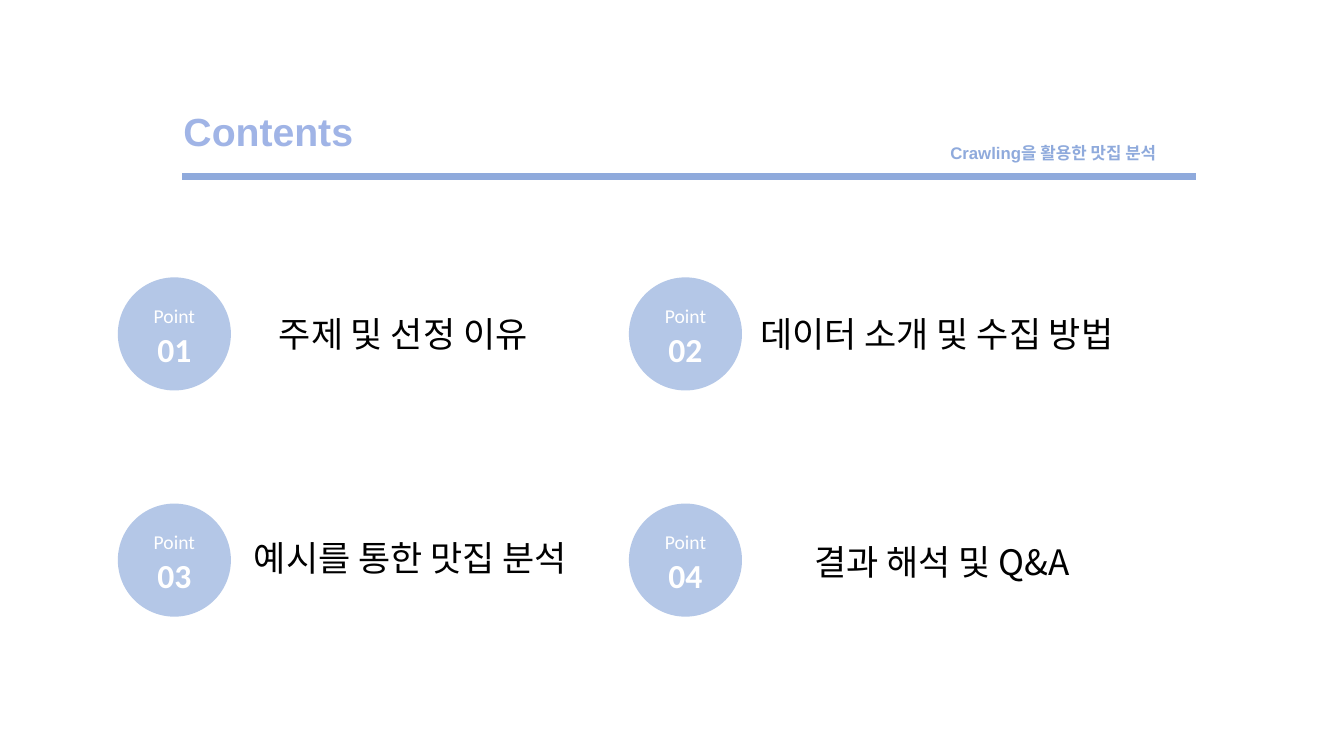
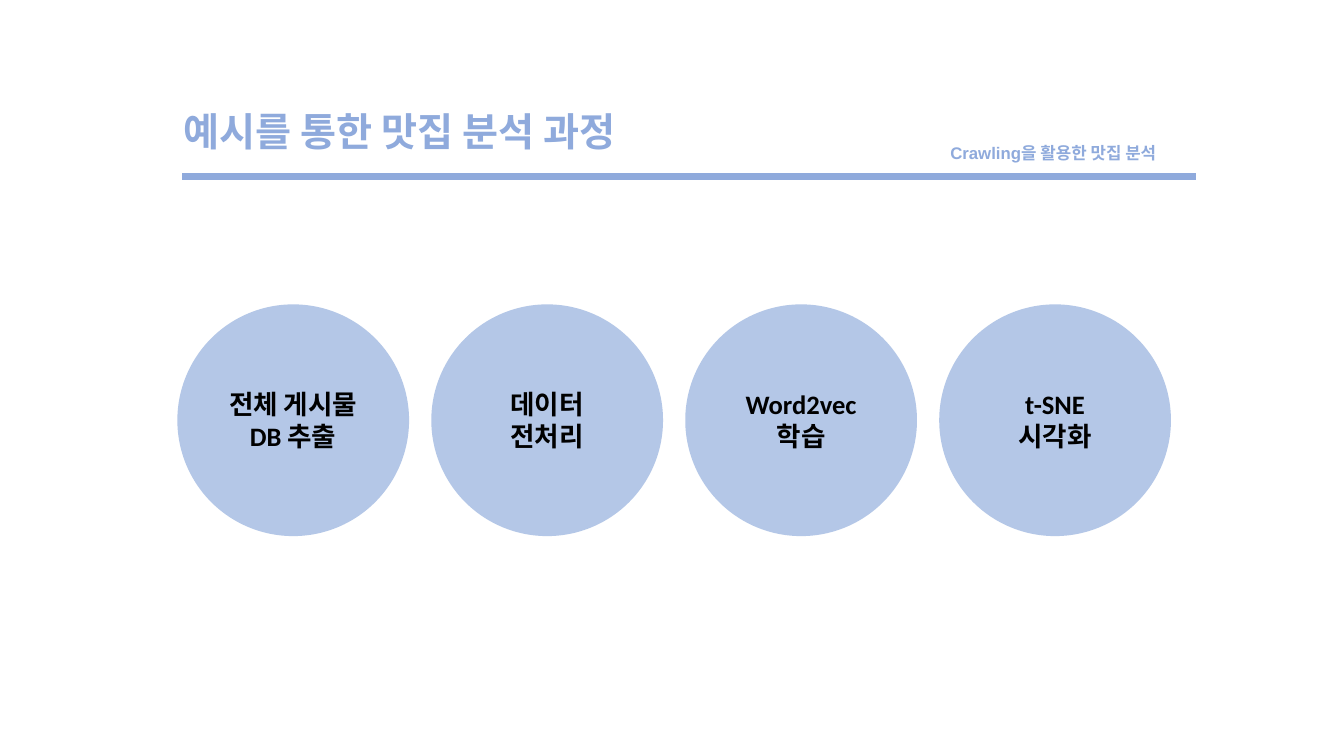
from lxml import etree
from pptx import Presentation
from pptx import util as u
from pptx.dml.color import RGBColor
from pptx.enum import shapes, text
from pptx.oxml import ns

Cm, Pt = u.Cm, u.Pt

COLORS = {
    "accent": "8FAADC",
    "contents": "A0B4E6",
    "circle": "B4C7E7",
    "light": "FFFFFF",
    "dark": "000000",
}
KOREAN = "Noto Sans CJK KR"


class Deck:
    def __init__(self):
        self.prs = Presentation()
        self.prs.slide_width = Cm(33.87)
        self.prs.slide_height = Cm(19.05)
        self.s = None

    def color(self, name):
        return RGBColor.from_string(COLORS[name])

    def run(self, p, words, size, color, font="Calibri", bold=False):
        r = p.add_run()
        r.text = words
        r.font.size = Pt(size)
        r.font.bold = bold
        r.font.name = font
        r.font.color.rgb = self.color(color)
        ea = etree.Element(ns.qn("a:ea"), typeface=KOREAN)
        r.font._element.find(ns.qn("a:latin")).addnext(ea)

    def slide(self, title, color="accent", font="Calibri"):
        self.s = self.prs.slides.add_slide(self.prs.slide_layouts[5])
        sp = self.s.shapes.title
        sp.left, sp.top, sp.width, sp.height = Cm(4.37), Cm(2.49), Cm(13), Cm(1.75)
        tf = sp.text_frame
        tf.auto_size = text.MSO_AUTO_SIZE.NONE
        tf.vertical_anchor = text.MSO_ANCHOR.MIDDLE
        p = tf.paragraphs[0]
        p.alignment = text.PP_ALIGN.LEFT
        p.line_spacing = 0.9
        self.run(p, title, 28, color, font, True)
        self.rule(4.6, 30.15, 4.45)
        p = self.label(22.9, 3.23, 7.29, 1.02)
        p.alignment = text.PP_ALIGN.CENTER
        p.line_spacing = 1.5
        self.run(p, "Crawling을 활용한 맛집 분석", 12, "accent", "Arial", True)

    def rule(self, x1, x2, y):
        line = self.s.shapes.add_connector(
            shapes.MSO_CONNECTOR.STRAIGHT, Cm(x1), Cm(y), Cm(x2), Cm(y))
        line.line.color.rgb = self.color("accent")
        line.line.width = Pt(4.5)
        etree.SubElement(line._element.spPr, ns.qn("a:effectLst"))

    def label(self, x, y, w, h):
        tf = self.s.shapes.add_textbox(Cm(x), Cm(y), Cm(w), Cm(h)).text_frame
        tf.word_wrap = True
        return tf.paragraphs[0]

    def circle(self, x, y, size):
        sp = self.s.shapes.add_shape(
            shapes.MSO_SHAPE.OVAL, Cm(x), Cm(y), Cm(size), Cm(size))
        sp.shadow.inherit = False
        sp.fill.solid()
        sp.fill.fore_color.rgb = self.color("circle")
        sp.line.fill.background()
        tf = sp.text_frame
        tf.margin_left = tf.margin_right = tf.margin_top = tf.margin_bottom = 0
        tf.vertical_anchor = text.MSO_ANCHOR.MIDDLE
        return tf

    def lines(self, tf, items, color):
        for i, (words, size, bold) in enumerate(items):
            p = tf.add_paragraph() if i else tf.paragraphs[0]
            p.alignment = text.PP_ALIGN.CENTER
            self.run(p, words, size, color, bold=bold)

    def point(self, number, x, y):
        tf = self.circle(x, y, 2.85)
        tf.margin_top = Pt(4)
        self.lines(tf, [("Point", 14, False), (f"{number:02}", 24, True)], "light")
        tf.paragraphs[1].space_before = Pt(1)

    def topic(self, words, x, y):
        self.run(self.label(x, y, 10.7, 1.32), words, 25, "dark", KOREAN)

    def step(self, words, x, y):
        tf = self.circle(x, y, 5.84)
        self.lines(tf, [(w, 19, True) for w in words], "dark")


def main():
    deck = Deck()

    deck.slide("Contents", "contents", "Arial")
    topics = [
        ("주제 및 선정 이유", 6.78, 7.75),
        ("데이터 소개 및 수집 방법", 18.92, 7.75),
        ("예시를 통한 맛집 분석", 6.15, 13.39),
        ("결과 해석 및 Q&A", 20.27, 13.49),
    ]
    for i, (words, x, y) in enumerate(topics):
        row, col = divmod(i, 2)
        deck.point(i + 1, 2.97 + col * 12.88, 6.99 + row * 5.7)
        deck.topic(words, x, y)

    deck.slide("예시를 통한 맛집 분석 과정")
    steps = [
        ("전체 게시물", "DB 추출"),
        ("데이터", "전처리"),
        ("Word2vec", "학습"),
        ("t-SNE", "시각화"),
    ]
    for i, words in enumerate(steps):
        deck.step(words, 4.47 + i * 6.4, 7.67)

    deck.prs.save("out.pptx")


if __name__ == "__main__":
    main()
